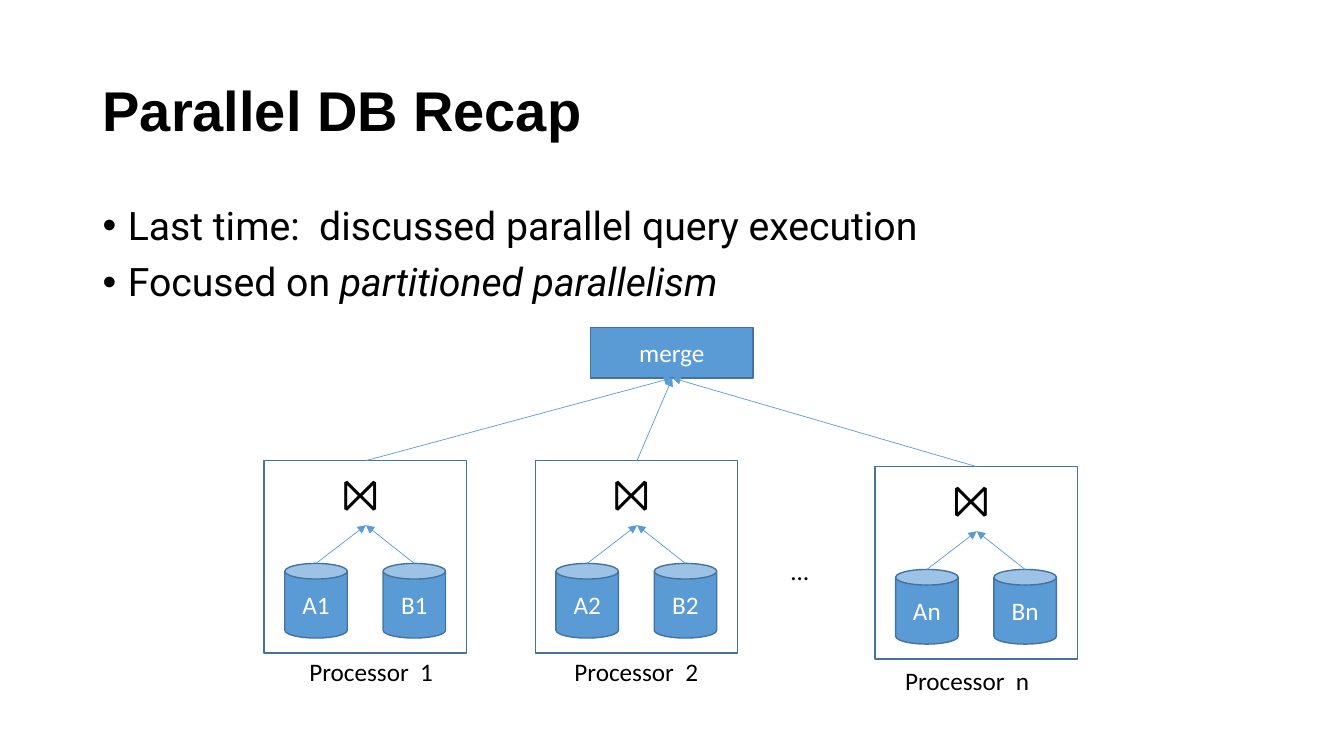
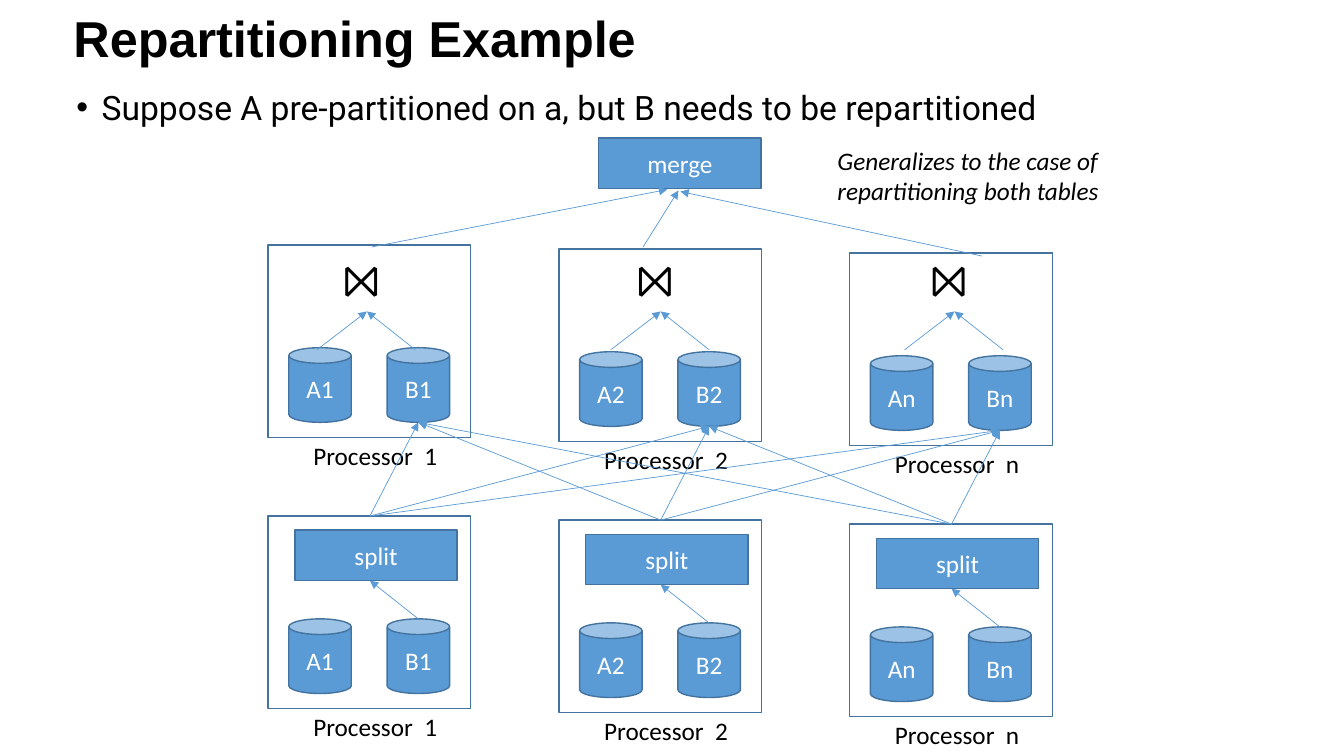
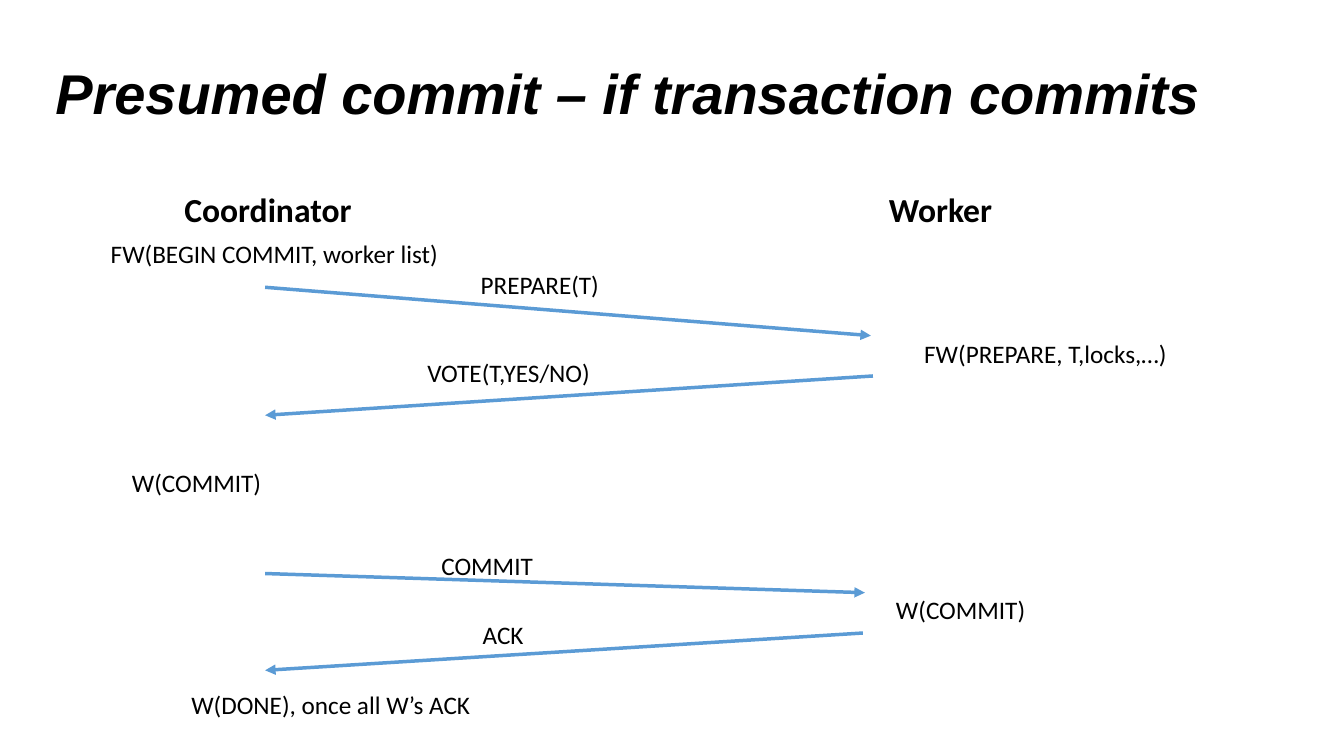
from itertools import product

from lxml.etree import SubElement
from pptx import Presentation
from pptx.dml.color import RGBColor
from pptx.enum.shapes import MSO_CONNECTOR, MSO_SHAPE
from pptx.enum.text import MSO_ANCHOR, PP_ALIGN
from pptx.oxml.ns import qn
from pptx.util import Inches, Pt

COLORS = {"ink": "000000", "paper": "FFFFFF", "blue": "5B9BD5", "edge": "43739E"}
CELL = Inches(0.1)
COLS, ROWS = 133.33, 75
FRAME = (20.1, 19.1)
CAN = (6.2, 7.4)
BLOCK = (16.1, 5)
A_LEFT, B_LEFT, CAN_TOP = 2.05, 11.8, 10.2
A_MID, B_MID = A_LEFT + CAN[0] / 2, B_LEFT + CAN[0] / 2
FRAME_MID, JOIN_FOOT = 10.1, 6.4
NAMES = ("1", "2", "n")


def cells(*lengths):
    """Turn grid columns or rows into slide lengths."""
    return [int(n * CELL) for n in lengths]


def rgb(name):
    """Look up a shared colour."""
    return RGBColor.from_string(COLORS[name])


def write(tf, text, size=18, font="Calibri", color="ink", bold=False, italic=False,
          align=PP_ALIGN.LEFT, anchor=MSO_ANCHOR.TOP, spacing=None, before=None, bullet=False):
    """Write lines of text; words between asterisks are italic."""
    tf.word_wrap = True
    tf.vertical_anchor = anchor
    for i, line in enumerate(text.split("\n")):
        p = tf.add_paragraph() if i else tf.paragraphs[0]
        p.alignment = align
        if spacing:
            p.line_spacing = spacing
        if before:
            p.space_before = Pt(before)
        if bullet:
            pPr = p._p.get_or_add_pPr()
            pPr.set("marL", str(Inches(0.25)))
            pPr.set("indent", str(-Inches(0.25)))
            SubElement(pPr, qn("a:buFont"), typeface="Arial")
            SubElement(pPr, qn("a:buChar"), char="•")
        for j, part in enumerate(line.split("*")):
            if not part:
                continue
            r = p.add_run()
            r.text = part
            f = r.font
            f.name, f.size, f.bold = font, Pt(size), bold
            f.italic = italic or j % 2 == 1
            f.color.rgb = rgb(color)


def label(s, text, x, y, w=14.5, h=4, **fmt):
    """Add a text box."""
    write(s.shapes.add_textbox(*cells(x, y, w, h)).text_frame, text, **fmt)


def title(s, text, x, y, w, size=40, **fmt):
    """Add a slide title."""
    label(s, text, x, y, w, 14.5, size=size, font="Arial", bold=True,
          anchor=MSO_ANCHOR.MIDDLE, spacing=0.9, **fmt)


def bullets(s, text, x, y, w, h, size, **fmt):
    """Add a bulleted body."""
    label(s, text, x, y, w, h, size=size, font="Roboto", before=10, bullet=True, **fmt)


def shape(s, kind, x, y, size, text=None):
    """Add an outlined shape, filled when it carries text."""
    sp = s.shapes.add_shape(kind, *cells(x, y, *size))
    sp.shadow.inherit = False
    sp.line.color.rgb = rgb("edge")
    sp.line.width = Pt(1)
    if text is None:
        sp.fill.background()
        return
    sp.fill.solid()
    sp.fill.fore_color.rgb = rgb("blue")
    write(sp.text_frame, text, color="paper", align=PP_ALIGN.CENTER, anchor=MSO_ANCHOR.MIDDLE)


def arrow(s, start, end, width=0.5):
    """Draw an arrow from start to end."""
    c = s.shapes.add_connector(MSO_CONNECTOR.STRAIGHT, *cells(*start, *end))
    c.line.color.rgb = rgb("blue")
    c.line.width = Pt(width)
    SubElement(c.line._get_or_add_ln(), qn("a:tailEnd"), type="triangle")
    SubElement(c._element.spPr, qn("a:effectLst"))


def processor(s, name, x, y, label_dx=3.5, label_dy=18.9):
    """Draw a processor frame with its two table partitions."""
    shape(s, MSO_SHAPE.RECTANGLE, x, y, FRAME)
    for table, dx in (("A", A_LEFT), ("B", B_LEFT)):
        shape(s, MSO_SHAPE.CAN, x + dx, y + CAN_TOP, CAN, table + name)
    label(s, f"Processor  {name}", x + label_dx, y + label_dy)


def join(s, x, y):
    """Draw the join sign fed by both partitions of a processor."""
    label(s, "⨝", x + 6.75, y, 6.7, 6.4, size=32)
    for dx in (A_MID, B_MID):
        arrow(s, (x + dx, y + CAN_TOP), (x + FRAME_MID, y + JOIN_FOOT))


def split(s, x, y):
    """Draw the split block fed by partition B of a processor."""
    shape(s, MSO_SHAPE.RECTANGLE, x + 2.65, y + 1.4, BLOCK, "split")
    arrow(s, (x + B_MID, y + CAN_TOP), (x + FRAME_MID, y + JOIN_FOOT))


def merge(s, x, y, arrows):
    """Draw the merge block and the arrows into it."""
    shape(s, MSO_SHAPE.RECTANGLE, x, y, BLOCK, "merge")
    for start, end in arrows:
        arrow(s, start, end)


def recap_slide(s):
    """Build the parallel query recap."""
    title(s, "Parallel DB Recap", 9.2, 4, 115)
    bullets(s, "Last time:  discussed parallel query execution\n"
               "Focused on *partitioned parallelism*", 9.2, 20, 115, 47.6, 28, spacing=0.9)
    places = ((26.2, 45.7, 3.5, 18.9), (53.1, 45.7, 2.9, 18.9), (86.8, 46.3, 2, 19.2))
    for name, (x, y, dx, dy) in zip(NAMES, places):
        processor(s, name, x, y, dx, dy)
        join(s, x, y)
    label(s, "…", 77.5, 54.6)
    merge(s, 58.6, 32.5, [((x + FRAME_MID, y), (66.7, 37.5)) for x, y, *_ in places])


def repartition_slide(s):
    """Build the repartitioning example."""
    lefts = [26.6 + 28.85 * i for i in range(3)]
    lower = [(x, 51.2 + 0.4 * i) for i, x in enumerate(lefts)]
    upper = [(x, 24.3 + 0.4 * i) for i, x in enumerate(lefts)]
    for name, at in zip(NAMES, lower):
        processor(s, name, *at)
        split(s, *at)
    for name, at in zip(NAMES, upper):
        processor(s, name, *at)
    for (x, y), (to_x, to_y) in product(lower, upper):
        arrow(s, (x + FRAME_MID, y), (to_x + B_MID, to_y + CAN_TOP + CAN[1]))
    for i in range(3):
        join(s, 26.3 + 29.15 * i, 24.5)
    merge(s, 59.4, 13.7, [((36.9, 24.5), (66.2, 18.8)),
                          ((63.8, 24.5), (67.3, 18.9)),
                          ((97.4, 25.4), (67.5, 19))])
    label(s, "Generalizes to the case of repartitioning both tables",
          82.1, 13.9, 29.6, 7.1, italic=True)
    title(s, "Repartitioning Example", 6.3, -3.2, 86.2, size=36)
    bullets(s, "Suppose A pre-partitioned on a, but B needs to be repartitioned",
            6.6, 8.1, 101.8, 10.1, 24)


def commit_slide(s):
    """Build the presumed commit message exchange."""
    title(s, "Presumed commit – if transaction commits", 4.5, 2.3, 122.8, italic=True)
    for role, x in (("Coordinator", 17.3), ("Worker", 87.2)):
        label(s, role, x, 18.3, 28.1, 5, size=24, bold=True)
    messages = (("PREPARE(T)", 46.7, 26.2, (26.3, 28.5), (86.4, 33.3)),
                ("VOTE(T,YES/NO)", 41.4, 35, (86.6, 37.3), (26.3, 41.2)),
                ("COMMIT", 42.8, 54.1, (26.3, 56.9), (85.8, 58.8)),
                ("ACK", 46.9, 60.9, (85.6, 62.8), (26.3, 66.5)))
    for text, x, y, start, end in messages:
        arrow(s, start, end, 2.5)
        label(s, text, x, y, 27.5)
    log_writes = (("FW(BEGIN COMMIT, worker list)", 10, 23.2, 34.9),
                  ("FW(PREPARE, T,locks,…)", 90.7, 33.1, 27.5),
                  ("W(COMMIT)", 12.1, 45.9, 17.5),
                  ("W(COMMIT)", 87.9, 58.5, 27.5),
                  ("W(DONE), once all W’s ACK", 18, 67.9, 33.3))
    for text, x, y, w in log_writes:
        label(s, text, x, y, w)


def main():
    """Build and save the slides."""
    prs = Presentation()
    prs.slide_width, prs.slide_height = cells(COLS, ROWS)
    for build in (recap_slide, repartition_slide, commit_slide):
        build(prs.slides.add_slide(prs.slide_layouts[6]))
    prs.save("out.pptx")


main()
